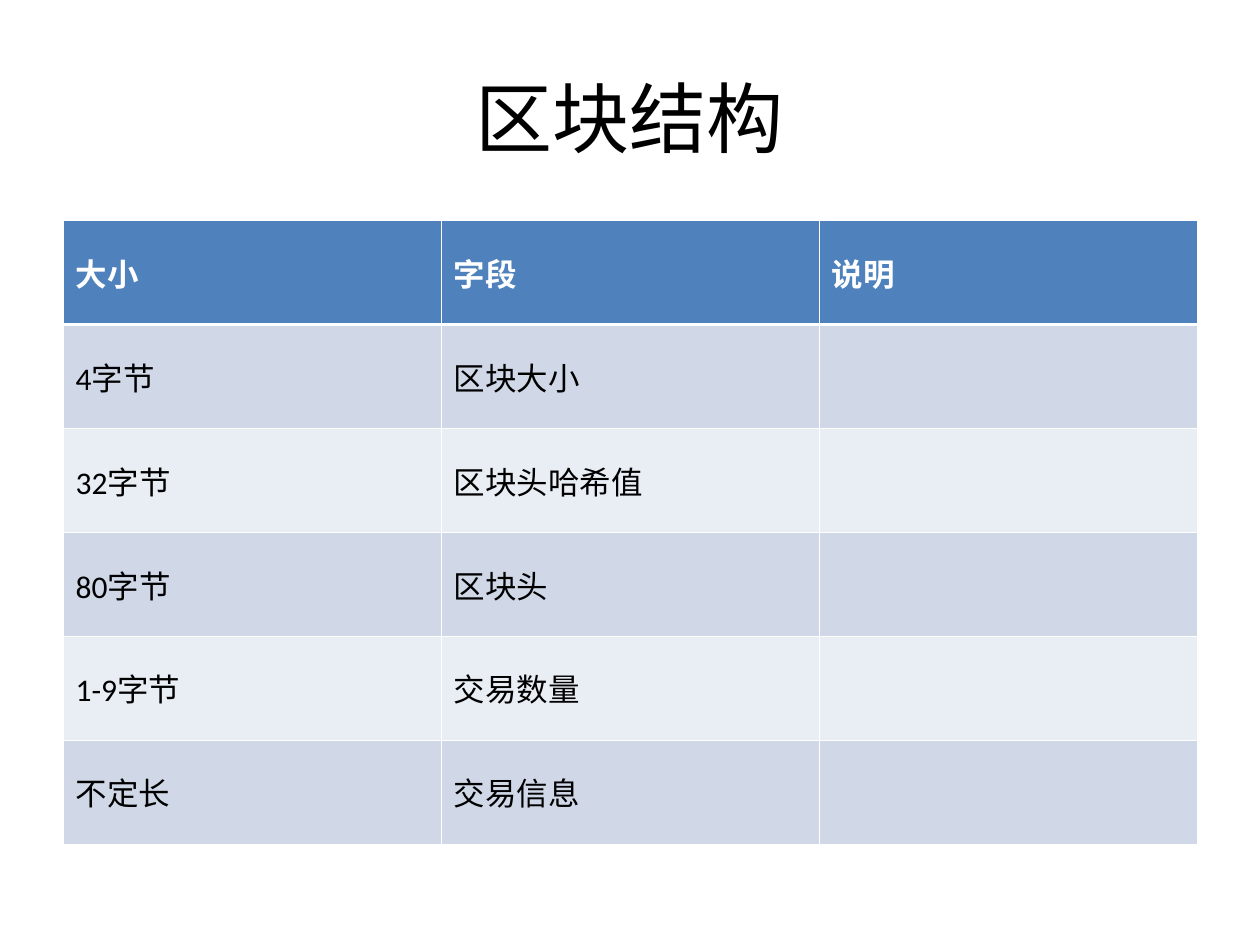
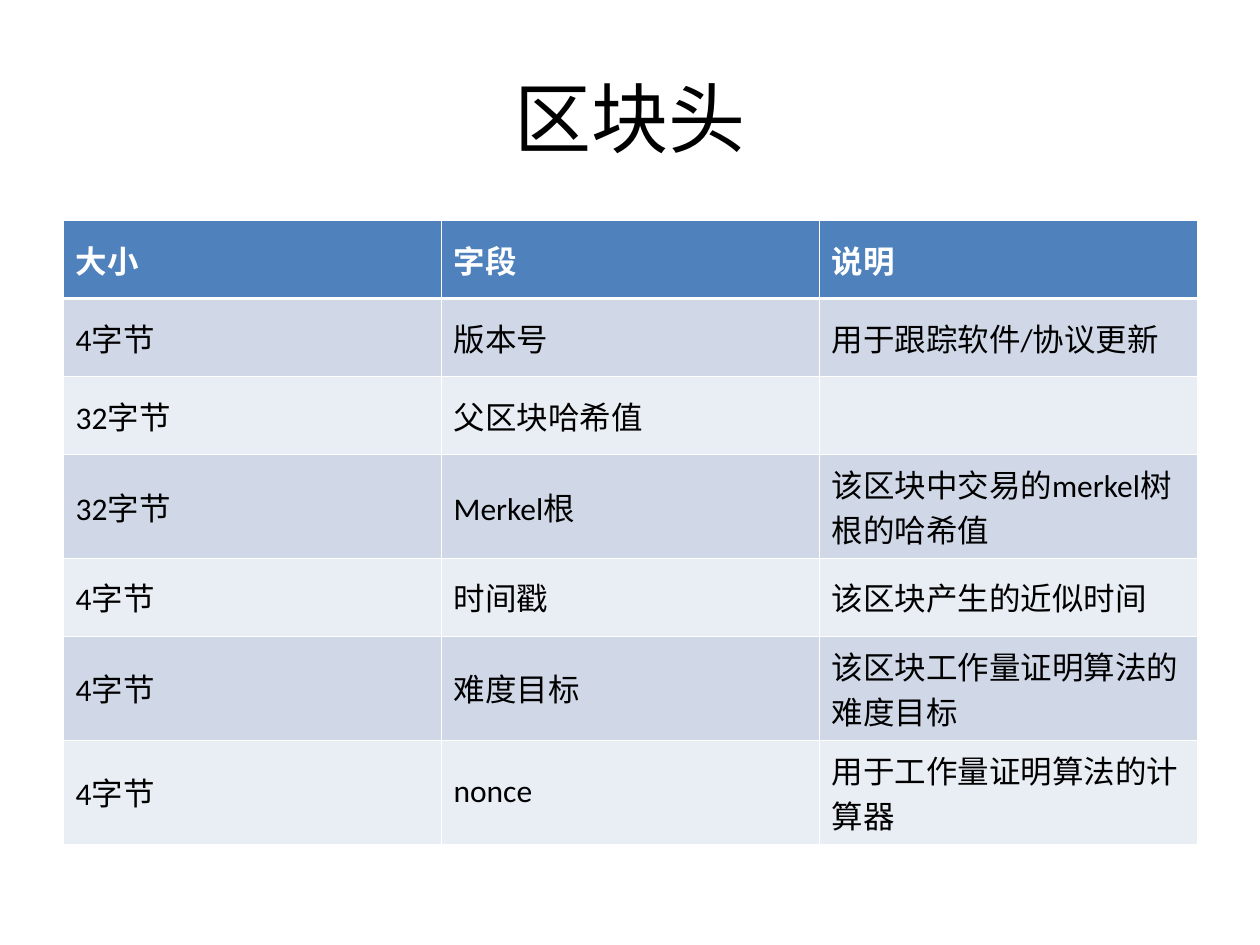
from lxml.etree import SubElement
from pptx import Presentation
from pptx.dml.color import RGBColor
from pptx.enum.text import MSO_ANCHOR as Anchor, PP_ALIGN as Align
from pptx.oxml.ns import qn
from pptx.util import Inches, Pt

COLORS = {
    "title": "000000",
    "header": "4F81BD",
    "header_text": "FFFFFF",
    "odd_row": "D0D8E8",
    "even_row": "E9EDF4",
    "body_text": "000000",
    "border": "FFFFFF",
}
LEFT, WIDTH = 0.5, 9
TABLE_TOP, TABLE_HEIGHT = 1.75, 4.95
THIN, THICK = 0.45, 1.47
HEADINGS = ("大小", "字段", "说明")

# Each page: title, relative row heights, body rows
PAGES = [
    ("区块结构", [1] * 6, [
        ("4字节", "区块大小", ""),
        ("32字节", "区块头哈希值", ""),
        ("80字节", "区块头", ""),
        ("1-9字节", "交易数量", ""),
        ("不定长", "交易信息", ""),
    ]),
    ("区块头", [3, 3, 3, 4, 3, 4, 4], [
        ("4字节", "版本号", "用于跟踪软件/协议更新"),
        ("32字节", "父区块哈希值", ""),
        ("32字节", "Merkel根", "该区块中交易的merkel树根的哈希值"),
        ("4字节", "时间戳", "该区块产生的近似时间"),
        ("4字节", "难度目标", "该区块工作量证明算法的难度目标"),
        ("4字节", "nonce", "用于工作量证明算法的计算器"),
    ]),
]


def style_text(para, font_name, size, color, bold=False):
    font = para.font
    font.name, font.size, font.bold = font_name, Pt(size), bold
    font.color.rgb = RGBColor.from_string(COLORS[color])


def add_borders(cell, row_index):
    """Draw thin cell borders, with a thick rule under the header row."""
    top = THICK if row_index == 1 else THIN
    bottom = THICK if row_index == 0 else THIN
    sides = {"a:lnL": THIN, "a:lnR": THIN, "a:lnT": top, "a:lnB": bottom}
    properties = cell._tc.get_or_add_tcPr()
    for side, points in sides.items():
        line = SubElement(properties, qn(side), w=str(Pt(points)))
        fill = SubElement(line, qn("a:solidFill"))
        SubElement(fill, qn("a:srgbClr"), val=COLORS["border"])


deck = Presentation()
deck.slide_width, deck.slide_height = Inches(10), Inches(7.5)

for title, row_weights, body_rows in PAGES:
    page = deck.slides.add_slide(deck.slide_layouts[6])

    title_box = page.shapes.add_textbox(Inches(LEFT), Inches(0.3), Inches(WIDTH), Inches(1.25))
    frame = title_box.text_frame
    frame.word_wrap = True
    frame.vertical_anchor = Anchor.MIDDLE
    frame.text = title
    para = frame.paragraphs[0]
    para.alignment = Align.CENTER
    style_text(para, "Arial", 44, "title")

    rows = [HEADINGS, *body_rows]
    table = page.shapes.add_table(
        len(rows), len(HEADINGS), Inches(LEFT), Inches(TABLE_TOP),
        Inches(WIDTH), Inches(TABLE_HEIGHT)).table
    for row_index, texts in enumerate(rows):
        share = row_weights[row_index] / sum(row_weights)
        table.rows[row_index].height = Inches(TABLE_HEIGHT * share)
        is_header = row_index == 0
        band = "header" if is_header else "odd_row" if row_index % 2 else "even_row"
        for column_index, text in enumerate(texts):
            cell = table.cell(row_index, column_index)
            cell.text = text
            cell.vertical_anchor = Anchor.MIDDLE
            add_borders(cell, row_index)
            cell.fill.solid()
            cell.fill.fore_color.rgb = RGBColor.from_string(COLORS[band])
            style_text(cell.text_frame.paragraphs[0], "Calibri", 18,
                       "header_text" if is_header else "body_text", bold=is_header)

deck.save("out.pptx")
